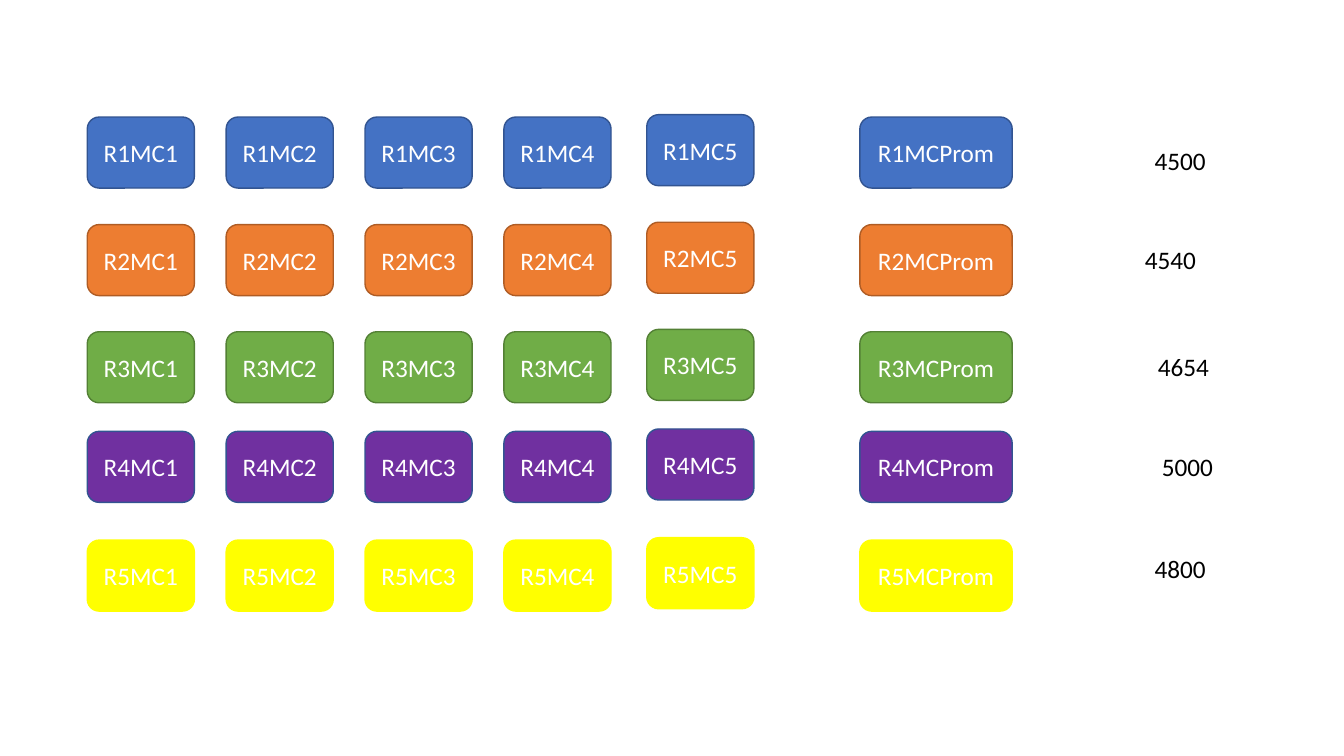
from pptx import Presentation
from pptx.dml.color import RGBColor
from pptx.enum.shapes import MSO_SHAPE as Shape
from pptx.enum.text import MSO_ANCHOR as Anchor, MSO_AUTO_SIZE as AutoSize, PP_ALIGN as Align
from pptx.util import Cm, Pt

# Each row: top, fill, outline, result, result left, result top (cm)
ROWS = [
    (2.95, "4472C4", "325491", "4500", 28.85, 3.53),
    (5.66, "ED7D31", "AF5C24", "4540", 28.6, 6.02),
    (8.36, "70AD47", "538035", "4654", 28.93, 8.74),
    (10.87, "7030A0", "325491", "5000", 29.03, 11.25),
    (13.61, "FFFF00", "FFFF00", "4800", 28.85, 13.82),
]
# Each column: name, left, width, shift from the row top (cm)
COLUMNS = [(f"MC{i + 1}", 2.2 + 3.5 * i, 2.7, 0) for i in range(4)]
COLUMNS += [("MC5", 16.3, 2.7, -0.06), ("MCProm", 21.67, 3.84, 0)]
CARD_HEIGHT = 1.79


def color(hex_code):
    return RGBColor.from_string(hex_code)


def write(frame, text, hex_code="000000", size=18, align=Align.LEFT, anchor=Anchor.TOP, wrap=True):
    frame.word_wrap = wrap
    frame.vertical_anchor = anchor
    paragraph = frame.paragraphs[0]
    paragraph.alignment = align
    run = paragraph.add_run()
    run.text = text
    run.font.name = "Calibri"
    run.font.size = Pt(size)
    run.font.color.rgb = color(hex_code)


def add_card(slide, box, label, fill, outline):
    card = slide.shapes.add_shape(Shape.ROUNDED_RECTANGLE, *map(Cm, box))
    card.shadow.inherit = False
    card.fill.solid()
    card.fill.fore_color.rgb = color(fill)
    card.line.color.rgb = color(outline)
    card.line.width = Pt(1)
    write(card.text_frame, label, "FFFFFF", align=Align.CENTER, anchor=Anchor.MIDDLE)


def add_result(slide, box, value):
    result = slide.shapes.add_textbox(*map(Cm, box))
    write(result.text_frame, value, wrap=False)
    result.text_frame.auto_size = AutoSize.SHAPE_TO_FIT_TEXT


def main():
    deck = Presentation()
    deck.slide_width, deck.slide_height = Cm(33.87), Cm(19.05)
    slide = deck.slides.add_slide(deck.slide_layouts[6])

    # Grid of cards, column by column
    for name, left, width, shift in COLUMNS:
        for number, (top, fill, outline, *_) in enumerate(ROWS, 1):
            box = (left, top + shift, width, CARD_HEIGHT)
            add_card(slide, box, f"R{number}{name}", fill, outline)

    # Result beside each row
    for *_, value, left, top in ROWS:
        add_result(slide, (left, top, 1.8, 1.02), value)

    deck.save("out.pptx")


if __name__ == "__main__":
    main()
